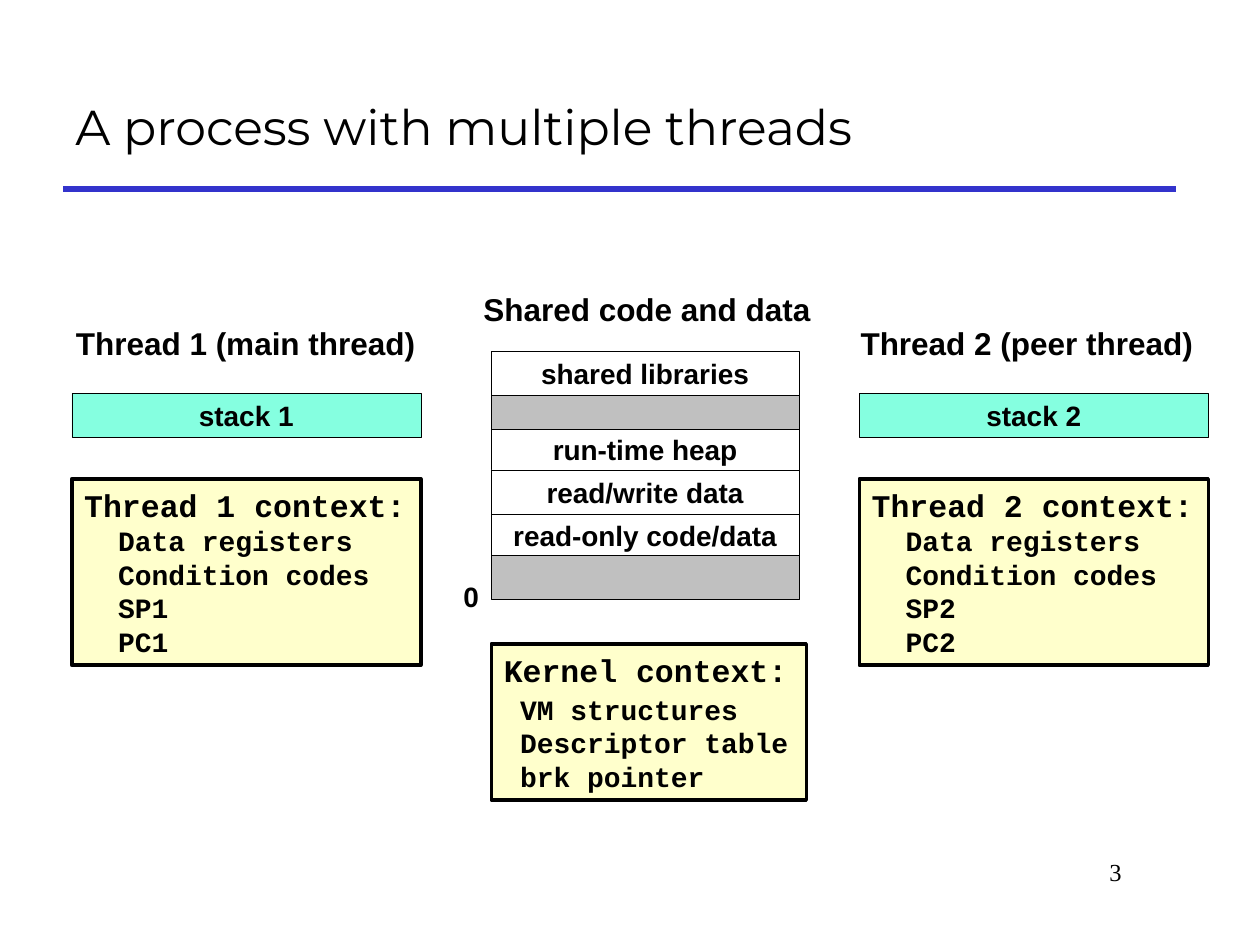
from dataclasses import dataclass

from pptx import Presentation
from pptx.dml.color import RGBColor
from pptx.enum.shapes import MSO_CONNECTOR as CONN, MSO_SHAPE as SHAPE
from pptx.enum.text import MSO_ANCHOR as ANCHOR, PP_ALIGN as ALIGN
from pptx.oxml.ns import qn
from pptx.util import Inches, Pt

TITLE = "A process with multiple threads"
PAGE = "3"
# text, height
MEMORY = [
    ("shared libraries", 0.35),
    ("", 0.27),
    ("run-time heap", 0.32),
    ("read/write data", 0.35),
    ("read-only code/data", 0.33),
    ("", 0.35),
]
# number, role, left of the column, left and width of the heading
THREADS = [(1, "main", 0.57, 0.5, 2.9), (2, "peer", 6.82, 6.73, 2.84)]
REGISTERS = ["Data registers", "Condition codes", "SP{n}", "PC{n}"]
KERNEL = ["VM structures", "Descriptor table", "brk pointer"]
MEM_X, MEM_Y, MEM_W = 3.9, 2.79, 2.44
THREAD_W = 2.77


@dataclass(frozen=True)
class Theme:
    """Colours, fonts and type sizes."""
    ink: str = "000000"
    rule: str = "3333CC"
    used: str = "FFFFFF"
    unused: str = "C0C0C0"
    stack: str = "85FFE0"
    context: str = "FFFFCC"
    sans: str = "Arial"
    mono: str = "Courier New"
    title_font: str = "Montserrat"
    page_font: str = "Times New Roman"
    title: int = 28
    heading: int = 18
    body: int = 16
    page: int = 14
    thin: float = 0.25
    thick: float = 2
    rule_width: float = 3


T = Theme()


def rgb(color):
    """Turn a hex string into a colour."""
    return RGBColor.from_string(color)


def write(p, text, **fmt):
    """Add one run to a paragraph with the given font values."""
    r = p.add_run()
    r.text = text
    r.font.color.rgb = rgb(T.ink)
    values = {"name": T.sans, "size": T.body, "bold": True} | fmt
    values["size"] = Pt(values["size"])
    for name, value in values.items():
        setattr(r.font, name, value)


def add_label(slide, text, x, y, w, h, align=ALIGN.CENTER,
              anchor=ANCHOR.MIDDLE, **fmt):
    """Add a one-line text box."""
    sp = slide.shapes.add_textbox(*map(Inches, (x, y, w, h)))
    tf = sp.text_frame
    tf.word_wrap = True
    tf.vertical_anchor = anchor
    if align == ALIGN.CENTER:
        tf.margin_left = tf.margin_right = 0
    tf.paragraphs[0].alignment = align
    write(tf.paragraphs[0], text, **fmt)


def add_box(slide, x, y, w, h, fill, line, text=""):
    """Add a filled rectangle with an optional centred text."""
    sp = slide.shapes.add_shape(SHAPE.RECTANGLE, *map(Inches, (x, y, w, h)))
    sp.shadow.inherit = False
    sp.fill.solid()
    sp.fill.fore_color.rgb = rgb(fill)
    sp.line.color.rgb = rgb(T.ink)
    sp.line.width = Pt(line)
    tf = sp.text_frame
    tf.word_wrap = True
    tf.vertical_anchor = ANCHOR.MIDDLE
    if text:
        tf.paragraphs[0].alignment = ALIGN.CENTER
        write(tf.paragraphs[0], text)
    return sp


def add_context(slide, x, y, w, h, heading, items, indent, gap=0):
    """Add a context box: a heading over indented items."""
    tf = add_box(slide, x, y, w, h, T.context, T.thick).text_frame
    p = tf.paragraphs[0]
    p.alignment = ALIGN.LEFT
    write(p, heading, name=T.mono, size=T.heading)
    for i, item in enumerate(items):
        p = tf.add_paragraph()
        p.alignment = ALIGN.LEFT
        p.space_before = Pt(0 if i else gap)
        p._p.get_or_add_pPr().set("marL", str(Inches(indent)))
        write(p, item, name=T.mono)


def add_rule(slide, x1, x2, y):
    """Add the line under the title."""
    ln = slide.shapes.add_connector(CONN.STRAIGHT, *map(Inches, (x1, y, x2, y)))
    ln.line.color.rgb = rgb(T.rule)
    ln.line.width = Pt(T.rule_width)
    sp_pr = ln._element.spPr
    sp_pr.append(sp_pr.makeelement(qn("a:effectLst"), {}))


def add_memory(slide):
    """Stack the memory regions from the top down."""
    y = MEM_Y
    for text, h in MEMORY:
        add_box(slide, MEM_X, y, MEM_W, h,
                T.used if text else T.unused, T.thin, text)
        y += h


def add_thread(slide, n, role, x, head_x, head_w):
    """Add one thread's heading, stack and context."""
    add_label(slide, f"Thread {n} ({role} thread)", head_x, 2.52, head_w, 0.4,
              size=T.heading)
    add_box(slide, x, 3.12, THREAD_W, 0.35, T.stack, T.thin, f"stack {n}")
    add_context(slide, x, 3.8, THREAD_W, 1.48, f"Thread {n} context:",
                [item.format(n=n) for item in REGISTERS], 0.27)


def main():
    """Build and save the slide."""
    prs = Presentation()
    prs.slide_width, prs.slide_height = Inches(10), Inches(7.5)
    slide = prs.slides.add_slide(prs.slide_layouts[6])
    add_rule(slide, 0.5, 9.33, 1.5)
    add_label(slide, TITLE, 0.5, 0.5, 8.83, 1, ALIGN.LEFT,
              name=T.title_font, size=T.title, bold=False)
    add_label(slide, PAGE, 7.58, 6.75, 1.42, 0.5, ALIGN.RIGHT, ANCHOR.TOP,
              name=T.page_font, size=T.page, bold=False)
    add_label(slide, "Shared code and data", 3.7, 2.25, 2.87, 0.4,
              size=T.heading)
    add_memory(slide)
    add_label(slide, "0", 3.58, 4.55, 0.33, 0.37, ALIGN.LEFT, ANCHOR.TOP)
    add_context(slide, MEM_X, 5.11, 2.5, 1.24, "Kernel context:", KERNEL,
                0.13, gap=2)
    for thread in THREADS:
        add_thread(slide, *thread)
    prs.save("out.pptx")


main()
